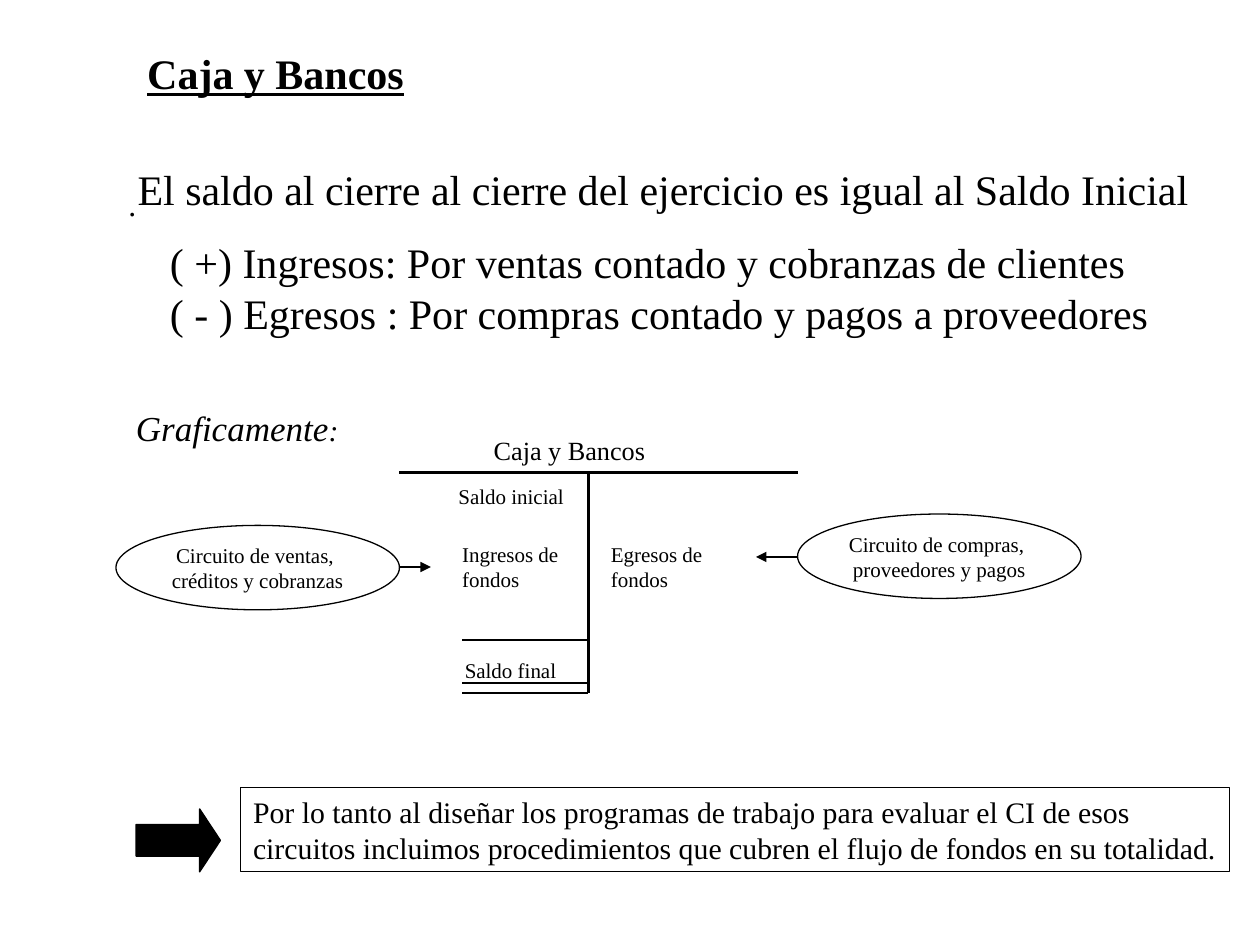
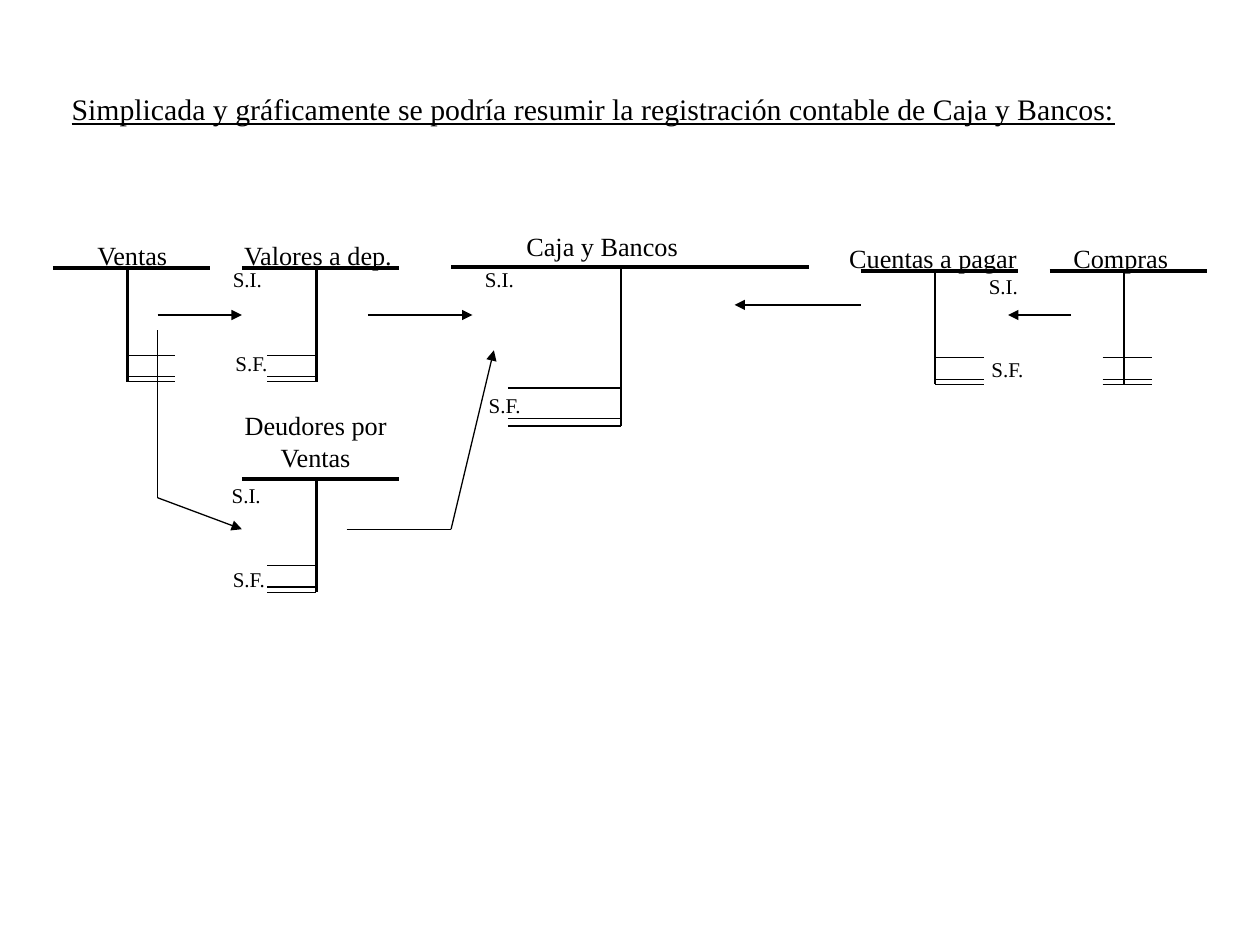
from dataclasses import dataclass

from lxml import etree
from pptx import Presentation
from pptx.dml.color import RGBColor
from pptx.enum.shapes import MSO_CONNECTOR, MSO_SHAPE
from pptx.enum.text import MSO_ANCHOR, MSO_AUTO_SIZE, PP_ALIGN
from pptx.oxml.ns import qn
from pptx.util import Pt

STRAIGHT = MSO_CONNECTOR.STRAIGHT
ELLIPSE, RECTANGLE, RIGHT_ARROW = MSO_SHAPE.OVAL, MSO_SHAPE.RECTANGLE, MSO_SHAPE.RIGHT_ARROW
LEFT, CENTER = PP_ALIGN.LEFT, PP_ALIGN.CENTER
TOP, MIDDLE = MSO_ANCHOR.TOP, MSO_ANCHOR.MIDDLE
FIT_SHAPE = MSO_AUTO_SIZE.SHAPE_TO_FIT_TEXT

PX = 9144  # EMU per px, 100 px to the inch


@dataclass(frozen=True)
class Theme:
    font: str = "Times New Roman"
    ink: RGBColor = RGBColor(0, 0, 0)
    paper: RGBColor = RGBColor(255, 255, 255)
    heading: int = 24
    subheading: int = 20
    mark: int = 18
    body: int = 17
    account: int = 15
    small: int = 12
    thin: float = 0.75
    stem: float = 1.5
    bar: float = 2.25


@dataclass(frozen=True)
class Run:
    text: str
    size: int
    bold: bool = False
    italic: bool = False
    underline: bool = False


THEME = Theme()
# Heights of the closing lines of an account, as shares of its stem
CLOSING_SHARES = (0.762, 0.955, 1)


def px(*lengths):
    return [length * PX for length in lengths]


# Text
def write(frame, paragraphs, align=LEFT, anchor=TOP, wrap=False):
    """Each paragraph is a list of runs; a newline in a run breaks the line."""
    frame.word_wrap = wrap
    frame.vertical_anchor = anchor
    for index, runs in enumerate(paragraphs):
        paragraph = frame.add_paragraph() if index else frame.paragraphs[0]
        paragraph.alignment = align
        for style in runs:
            for number, line_text in enumerate(style.text.split("\n")):
                if number:
                    paragraph.add_line_break()
                run = paragraph.add_run()
                run.text = line_text
                run.font.name = THEME.font
                run.font.size = Pt(style.size)
                run.font.color.rgb = THEME.ink
                run.font.bold = style.bold
                run.font.italic = style.italic
                run.font.underline = style.underline


def label(slide, box, *paragraphs, **layout):
    frame = slide.shapes.add_textbox(*px(*box)).text_frame
    write(frame, paragraphs, **layout)
    frame.auto_size = FIT_SHAPE


# Lines and outlines
def line(slide, start, end, width=THEME.thin, arrow=False):
    connector = slide.shapes.add_connector(STRAIGHT, *px(*start, *end))
    connector.line.color.rgb = THEME.ink
    connector.line.width = Pt(width)
    properties = connector._element.spPr
    if arrow:
        etree.SubElement(properties.find(qn("a:ln")), qn("a:tailEnd"), type="triangle")
    etree.SubElement(properties, qn("a:effectLst"))


def outline(slide, kind, box, filled=False):
    shape = slide.shapes.add_shape(kind, *px(*box))
    shape.shadow.inherit = False
    shape.line.color.rgb = THEME.ink
    shape.line.width = Pt(THEME.thin)
    if filled:
        shape.fill.solid()
        shape.fill.fore_color.rgb = THEME.ink
    else:
        shape.fill.background()
    return shape


def circuit(slide, box, text):
    ellipse = outline(slide, ELLIPSE, box)
    write(ellipse.text_frame, [[Run(text, THEME.small)]], CENTER, MIDDLE)


# T accounts
def account(slide, bar, stem, height, closing):
    """bar is left, right, top; closing is the span of the closing lines."""
    left, right, top = bar
    line(slide, (left, top), (right, top), THEME.bar)
    line(slide, (stem, top), (stem, top + height), THEME.stem)
    for share in CLOSING_SHARES:
        level = top + round(height * share)
        line(slide, (closing[0], level), (closing[1], level))


def small_account(slide, left, top, closing_left):
    account(slide, (left, left + 125, top), left + 59, 90, (closing_left, closing_left + 39))


def account_name(slide, box, *names):
    label(slide, box, *([Run(name, THEME.account)] for name in names), align=CENTER)


def entry(slide, box, text):
    label(slide, box, [Run(text, THEME.small)])


def balances(slide, initial, final):
    entry(slide, (*initial, 43, 30), "S.I.")
    entry(slide, (*final, 47, 30), "S.F.")


# Slides
def new_slide(deck):
    slide = deck.slides.add_slide(deck.slide_layouts[6])
    slide.background.fill.solid()
    slide.background.fill.fore_color.rgb = THEME.paper
    return slide


def cash_flow_slide(deck):
    slide = new_slide(deck)

    # Heading and formula of the balance
    label(slide, (107, 33, 483, 90),
          [Run("Caja y Bancos", THEME.heading, bold=True, underline=True)], wrap=True)
    label(slide, (92, 142, 26, 40), [Run(".", THEME.mark)])
    label(slide, (99, 125, 855, 50),
          [Run("El saldo al cierre al cierre del ejercicio es igual al Saldo Inicial", THEME.heading)],
          align=CENTER, anchor=MIDDLE)
    label(slide, (125, 183, 802, 90),
          [Run("( +) Ingresos: Por ventas contado y cobranzas de clientes", THEME.heading)],
          [Run("( - ) Egresos : Por compras contado y pagos a proveedores", THEME.heading)])
    label(slide, (98, 318, 181, 44),
          [Run("Graficamente", THEME.subheading, italic=True), Run(":", THEME.body, italic=True)])

    # Account with its entries
    account(slide, (317, 633, 375), 467, 175, (367, 467))
    account_name(slide, (382, 340, 140, 35), "Caja y Bancos")
    for box, text in (
        ((354, 379, 106, 30), "Saldo inicial"),
        ((357, 425, 106, 50), "Ingresos de\nfondos"),
        ((475, 425, 102, 50), "Egresos de\nfondos"),
        ((359, 517, 98, 30), "Saldo final"),
    ):
        entry(slide, box, text)

    # Circuits feeding the account
    circuit(slide, (92, 417, 225, 67), "Circuito de ventas, \ncréditos y cobranzas")
    line(slide, (317, 450), (342, 450), arrow=True)
    circuit(slide, (633, 408, 225, 67), "Circuito de compras, \nproveedores y pagos")
    line(slide, (633, 442), (600, 442), arrow=True)

    # Conclusion
    pointer = outline(slide, RIGHT_ARROW, (108, 642, 67, 50), filled=True)
    pointer.adjustments[1] = 0.33
    conclusion = outline(slide, RECTANGLE, (191, 625, 785, 67)).text_frame
    write(conclusion, [
        [Run("Por lo tanto al diseñar los programas de trabajo para evaluar el CI de esos", THEME.body)],
        [Run("circuitos incluimos procedimientos que cubren el flujo de fondos en su totalidad.", THEME.body)],
    ])
    conclusion.auto_size = FIT_SHAPE


def bookkeeping_slide(deck):
    slide = new_slide(deck)
    label(slide, (47, 67, 848, 39),
          [Run("Simplicada y gráficamente se podría resumir la registración contable de Caja y Bancos:",
               THEME.body, underline=True)])

    # Accounts: left and top of the bar, left of the closing lines
    account(slide, (358, 642, 212), 493, 126, (403, 493))
    for left, top, closing_left in (
        (42, 213, 100),   # Ventas
        (192, 213, 212),  # Valores a dep.
        (683, 215, 742),  # Cuentas a pagar
        (833, 215, 875),  # Compras
        (192, 380, 212),  # Deudores por Ventas
    ):
        small_account(slide, left, top, closing_left)

    account_name(slide, (408, 178, 140, 35), "Caja y Bancos")
    account_name(slide, (66, 185, 78, 35), "Ventas")
    account_name(slide, (183, 185, 139, 35), "Valores a dep.")
    account_name(slide, (664, 187, 153, 35), "Cuentas a pagar")
    account_name(slide, (842, 187, 95, 35), "Compras")
    account_name(slide, (184, 320, 133, 60), "Deudores por", "Ventas")

    # Initial and final balances
    for initial, final in (
        ((175, 207), (177, 273)),
        ((174, 378), (175, 445)),
        ((375, 207), (378, 307)),
        ((775, 212), (777, 278)),
    ):
        balances(slide, initial, final)

    # Flows between accounts, each ending in an arrowhead
    for flow in (
        [(125, 250), (192, 250)],
        [(125, 262), (125, 395), (192, 420)],
        [(292, 250), (375, 250)],
        [(275, 420), (358, 420), (392, 278)],
        [(850, 250), (800, 250)],
        [(683, 242), (583, 242)],
    ):
        for start, end in zip(flow, flow[1:]):
            line(slide, start, end, arrow=end == flow[-1])


def main():
    deck = Presentation()
    deck.slide_width, deck.slide_height = px(1000, 750)
    cash_flow_slide(deck)
    bookkeeping_slide(deck)
    deck.save("out.pptx")


if __name__ == "__main__":
    main()
